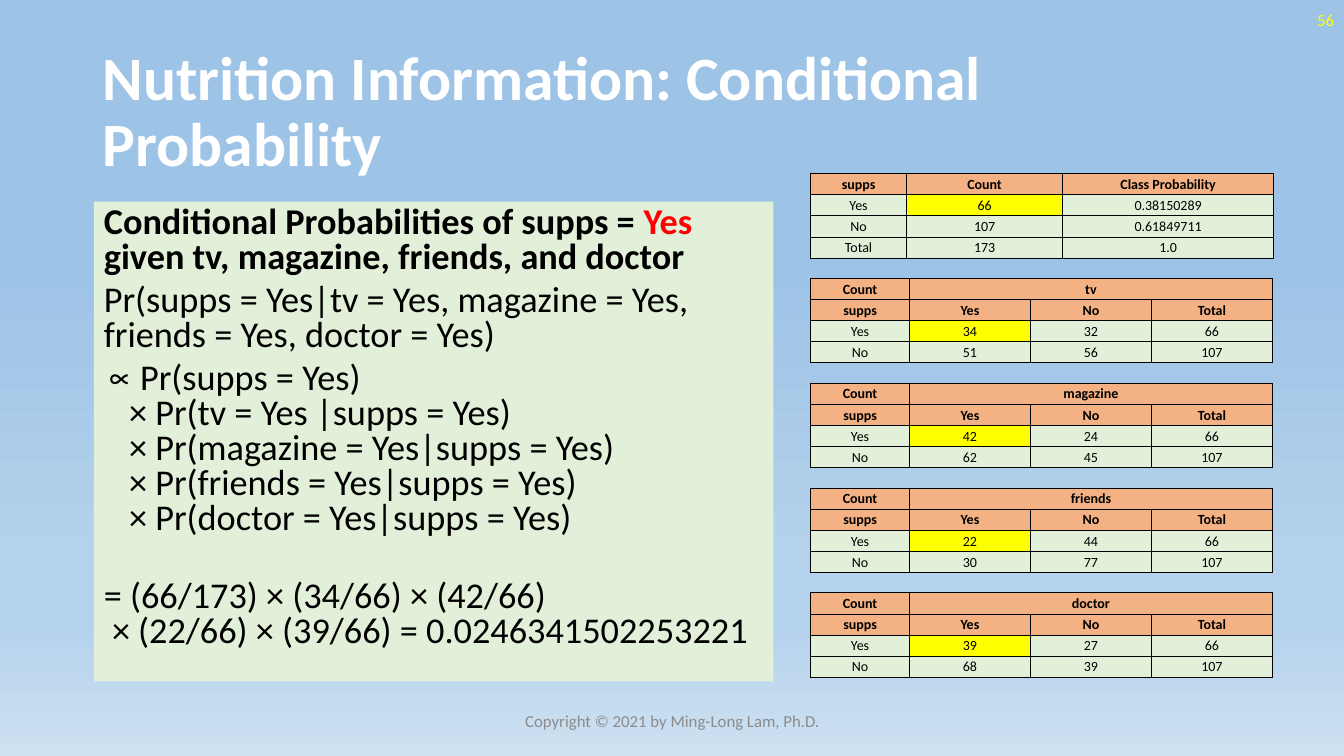
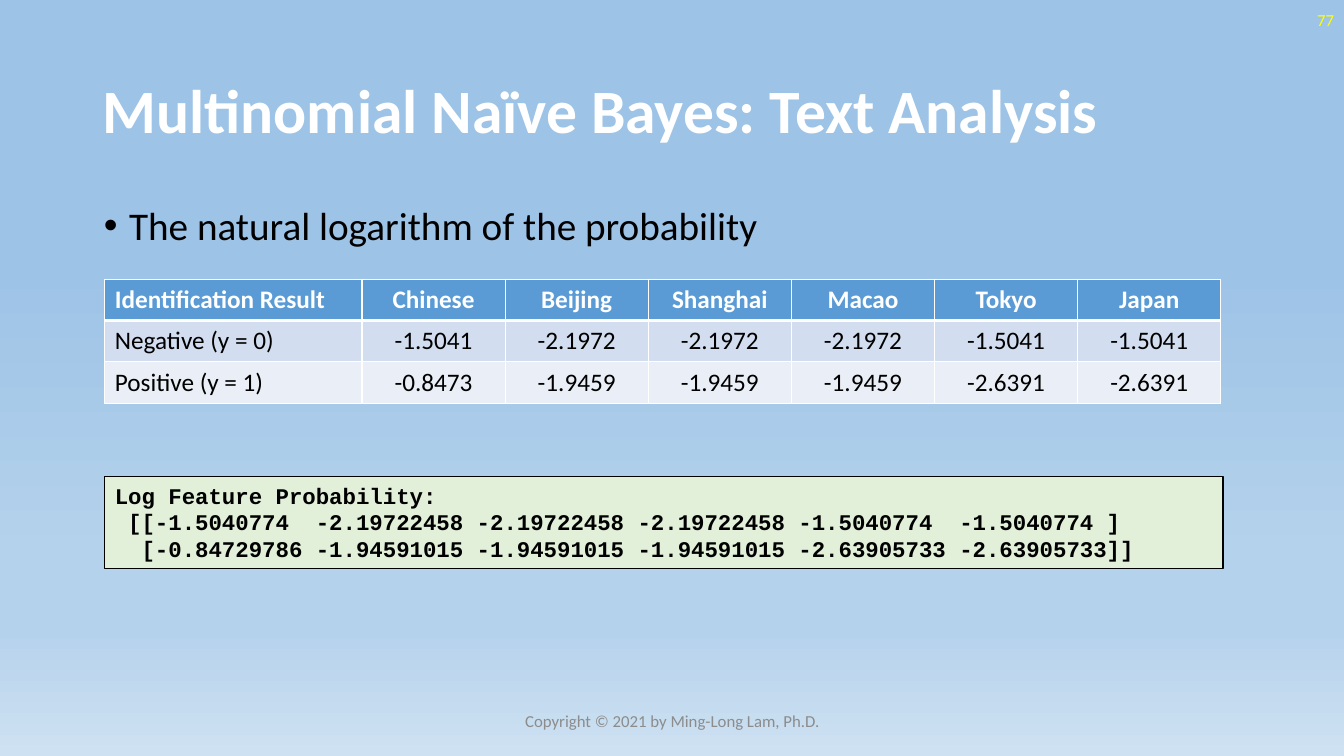
import copy

import lxml.etree
import pptx
import pptx.dml.color
import pptx.enum.shapes
import pptx.enum.text
import pptx.oxml.ns
import pptx.util

Inches = pptx.util.Inches
Pt = pptx.util.Pt
ALIGN = pptx.enum.text.PP_ALIGN
ANCHOR = pptx.enum.text.MSO_ANCHOR
AUTO_SIZE = pptx.enum.text.MSO_AUTO_SIZE

COLORS = {
    "white": "FFFFFF",
    "black": "000000",
    "red": "FF0000",
    "yellow": "FFFF00",
    "gray": "8C8C8C",
    "green": "E2F0D9",
    "orange": "F4B183",
    "blue": "5B9BD5",
    "band_dark": "D2DEEF",
    "band_light": "EAEFF7",
    "sky": "9DC3E6",
    "mist": "B5D2EC",
    "haze": "CEE1F2",
}
BACKGROUND_STOPS = [(35, "sky"), (74, "mist"), (83, "mist"), (100, "haze")]
COPYRIGHT = "Copyright © 2021 by Ming-Long Lam, Ph.D."


def rgb(name):
    return pptx.dml.color.RGBColor.from_string(COLORS[name])


def add_xml(parent, tag, **attributes):
    """Append a DrawingML child element."""
    element = lxml.etree.SubElement(parent, pptx.oxml.ns.qn(tag))
    for key, value in attributes.items():
        element.set(key, str(value))
    return element


def write_text(paragraph, text, size=18, color="black", bold=False, font="Calibri",
               align=ALIGN.LEFT, spacing=1.0, before=0):
    """Append formatted text to a paragraph; a newline becomes a line break."""
    paragraph.alignment = align
    paragraph.line_spacing = spacing
    paragraph.space_before = Pt(before)
    for number, line in enumerate(text.split("\n")):
        if number:
            paragraph.add_line_break()
            paragraph._p[-1].append(copy.deepcopy(run._r.rPr))
        run = paragraph.add_run()
        run.text = line
        run.font.size = Pt(size)
        run.font.name = font
        run.font.bold = bold
        run.font.color.rgb = rgb(color)


def set_bullet(paragraph, character=None):
    """Give a paragraph a hanging bullet, or none."""
    properties = paragraph._p.get_or_add_pPr()
    indent = Inches(0.25) if character else 0
    properties.set("marL", str(indent))
    properties.set("indent", str(-indent))
    if character:
        add_xml(properties, "a:buChar", char=character)
    else:
        add_xml(properties, "a:buNone")


def set_borders(cell, color, top, bottom, side):
    properties = cell._tc.get_or_add_tcPr()
    for tag, width in (("a:lnL", side), ("a:lnR", side), ("a:lnT", top), ("a:lnB", bottom)):
        line = add_xml(properties, tag, w=Pt(width))
        add_xml(add_xml(line, "a:solidFill"), "a:srgbClr", val=COLORS[color])


class Deck:
    """Holds the shared style and the current slide."""

    def __init__(self):
        self.presentation = pptx.Presentation()
        self.presentation.slide_width = Inches(13.33)
        self.presentation.slide_height = Inches(7.5)
        self.slide = None
        self.set_background()

    def set_background(self):
        fill = self.presentation.slide_master.background.fill
        fill.gradient()
        fill.gradient_angle = 270
        stops = fill.gradient_stops._gsLst
        for stop in list(stops):
            stops.remove(stop)
        for position, color in BACKGROUND_STOPS:
            stop = add_xml(stops, "a:gs", pos=position * 1000)
            add_xml(stop, "a:srgbClr", val=COLORS[color])

    def place(self, shape, left, top, width, height):
        shape.left, shape.top = Inches(left), Inches(top)
        shape.width, shape.height = Inches(width), Inches(height)

    def add_slide(self, title, number):
        layout = self.presentation.slide_layouts[1]
        self.slide = self.presentation.slides.add_slide(layout)
        shape = self.slide.shapes.title
        self.place(shape, 0.92, 0.4, 11.5, 1.45)
        shape.text_frame.auto_size = AUTO_SIZE.NONE
        shape.text_frame.vertical_anchor = ANCHOR.MIDDLE
        write_text(shape.text_frame.paragraphs[0], title, size=44, color="white",
                   bold=True, spacing=0.9)
        self.add_label(number, 10.33, 0, 3, color="yellow", align=ALIGN.RIGHT)
        self.add_label(COPYRIGHT, 4.42, 6.95, 4.5, color="gray", align=ALIGN.CENTER)

    def add_label(self, text, left, top, width, **style):
        shape = self.slide.shapes.add_textbox(
            Inches(left), Inches(top), Inches(width), Inches(0.4))
        shape.text_frame.word_wrap = True
        shape.text_frame.vertical_anchor = ANCHOR.MIDDLE
        write_text(shape.text_frame.paragraphs[0], text, size=12, **style)

    def add_body(self, paragraphs, width, fill=None, **style):
        """Fill the body placeholder; each entry is (bullet, space before, runs)."""
        shape = self.slide.placeholders[1]
        self.place(shape, 0.93, 2, width, 4.76)
        if fill:
            shape.fill.solid()
            shape.fill.fore_color.rgb = rgb(fill)
        frame = shape.text_frame
        frame.auto_size = AUTO_SIZE.NONE
        frame.vertical_anchor = ANCHOR.TOP
        for index, (bullet, before, runs) in enumerate(paragraphs):
            paragraph = frame.add_paragraph() if index else frame.paragraphs[0]
            set_bullet(paragraph, bullet)
            for text, run_style in runs:
                write_text(paragraph, text, before=before, **style, **run_style)

    def add_code(self, lines, left, top, width, height):
        shape = self.slide.shapes.add_shape(
            pptx.enum.shapes.MSO_SHAPE.RECTANGLE,
            Inches(left), Inches(top), Inches(width), Inches(height))
        shape.shadow.inherit = False
        shape.fill.solid()
        shape.fill.fore_color.rgb = rgb("green")
        shape.line.color.rgb = rgb("black")
        shape.line.width = Pt(0.75)
        frame = shape.text_frame
        frame.word_wrap = True
        frame.auto_size = AUTO_SIZE.SHAPE_TO_FIT_TEXT
        frame.vertical_anchor = ANCHOR.TOP
        for index, line in enumerate(lines):
            paragraph = frame.add_paragraph() if index else frame.paragraphs[0]
            write_text(paragraph, line, size=16, bold=True, font="Courier New")

    def add_table(self, rows, left, top, widths, row_height, size, header_fill, bands,
                  header_rows=1, header_color="black", border="black", line=0.5,
                  header_line=0.5, inset=None, label_align=ALIGN.CENTER, highlight=None):
        """Draw a table; a None cell is merged into the cell on its left."""
        table = self.slide.shapes.add_table(
            len(rows), len(widths), Inches(left), Inches(top),
            Inches(sum(widths)), Inches(row_height * len(rows))).table
        table.horz_banding = False
        for column, width in zip(table.columns, widths):
            column.width = Inches(width)
        for r, values in enumerate(rows):
            table.rows[r].height = Inches(row_height)
            is_header = r < header_rows
            fill = header_fill if is_header else bands[(r - header_rows) % len(bands)]
            for c, value in enumerate(values):
                cell = table.cell(r, c)
                set_borders(cell, border, side=line,
                            top=header_line if r == header_rows else line,
                            bottom=header_line if r == header_rows - 1 else line)
                cell.fill.solid()
                cell.fill.fore_color.rgb = rgb("yellow" if (r, c) == highlight else fill)
                if inset is not None:
                    cell.margin_left = cell.margin_right = cell.margin_top = Inches(inset)
                    cell.margin_bottom = 0
                cell.vertical_anchor = ANCHOR.MIDDLE
                if value is not None:
                    write_text(cell.text_frame.paragraphs[0], value, size=size,
                               bold=is_header,
                               color=header_color if is_header else "black",
                               align=ALIGN.CENTER if c else label_align)
            if None in values:
                first = values.index(None) - 1
                table.cell(r, first).merge(table.cell(r, len(values) - 1))


def add_conditional_probability(deck):
    deck.add_slide("Nutrition Information: Conditional Probability", "56")

    # Derivation
    bold = {"bold": True}
    deck.add_body([
        (None, 0, [("Conditional Probabilities of supps = ", bold),
                   ("Yes", {"bold": True, "color": "red"}),
                   (" given tv, magazine, friends, and doctor", bold)]),
        (None, 6, [("Pr(supps = Yes|tv = Yes, magazine = Yes,\n"
                    "friends = Yes, doctor = Yes)", {})]),
        ("∝", 6, [("Pr(supps = Yes)\n"
                   "× Pr(tv = Yes |supps = Yes)\n"
                   "× Pr(magazine = Yes|supps = Yes)\n"
                   "× Pr(friends = Yes|supps = Yes)\n"
                   "× Pr(doctor = Yes|supps = Yes)", {})]),
        (None, 31, [("= (66/173) × (34/66) × (42/66)\n"
                     " × (22/66) × (39/66) = 0.0246341502253221", {})]),
    ], width=6.74, fill="green", size=25.9, spacing=0.8)

    # Class table, then one count table per feature
    left, first_top, pitch = 8.04, 1.72, 1.04
    style = {"row_height": 0.21, "size": 10, "header_fill": "orange",
             "bands": ["green"], "inset": 0.01}
    deck.add_table([
        ["supps", "Count", "Class Probability"],
        ["Yes", "66", "0.38150289"],
        ["No", "107", "0.61849711"],
        ["Total", "173", "1.0"],
    ], left, first_top, [0.95, 1.55, 2.09], highlight=(1, 1), **style)
    features = [
        ("tv", (34, 32), (51, 56)),
        ("magazine", (42, 24), (62, 45)),
        ("friends", (22, 44), (30, 77)),
        ("doctor", (39, 27), (68, 39)),
    ]
    for index, (feature, yes, no) in enumerate(features, start=1):
        rows = [["Count", feature, None, None], ["supps", "Yes", "No", "Total"]]
        for label, counts in (("Yes", yes), ("No", no)):
            rows.append([label] + [str(count) for count in (*counts, sum(counts))])
        deck.add_table(rows, left, first_top + index * pitch, [0.98] + [1.2] * 3,
                       header_rows=2, highlight=(2, 1), **style)


def add_text_analysis(deck):
    deck.add_slide("Multinomial Naïve Bayes: Text Analysis", "77")
    deck.add_body([("•", 0, [("The natural logarithm of the probability", {})])],
                  width=11.5, size=28, spacing=0.9)

    # Log probabilities per word
    deck.add_table([
        ["Identification Result", "Chinese", "Beijing", "Shanghai", "Macao", "Tokyo", "Japan"],
        ["Negative (y = 0)", "-1.5041", "-2.1972", "-2.1972", "-2.1972", "-1.5041", "-1.5041"],
        ["Positive (y = 1)", "-0.8473", "-1.9459", "-1.9459", "-1.9459", "-2.6391", "-2.6391"],
    ], 1.04, 2.77, [2.55] + [1.42] * 6, row_height=0.41, size=18, header_fill="blue",
        bands=["band_dark", "band_light"], header_color="white", border="white",
        line=1, header_line=3, label_align=ALIGN.LEFT)

    # Program output
    deck.add_code([
        "Log Feature Probability:",
        " [[-1.5040774  -2.19722458 -2.19722458 -2.19722458 -1.5040774  -1.5040774 ]",
        "  [-0.84729786 -1.94591015 -1.94591015 -1.94591015 -2.63905733 -2.63905733]]",
    ], 1.04, 4.73, 11.09, 0.91)


def main():
    deck = Deck()
    add_conditional_probability(deck)
    add_text_analysis(deck)
    deck.presentation.save("out.pptx")


if __name__ == "__main__":
    main()
